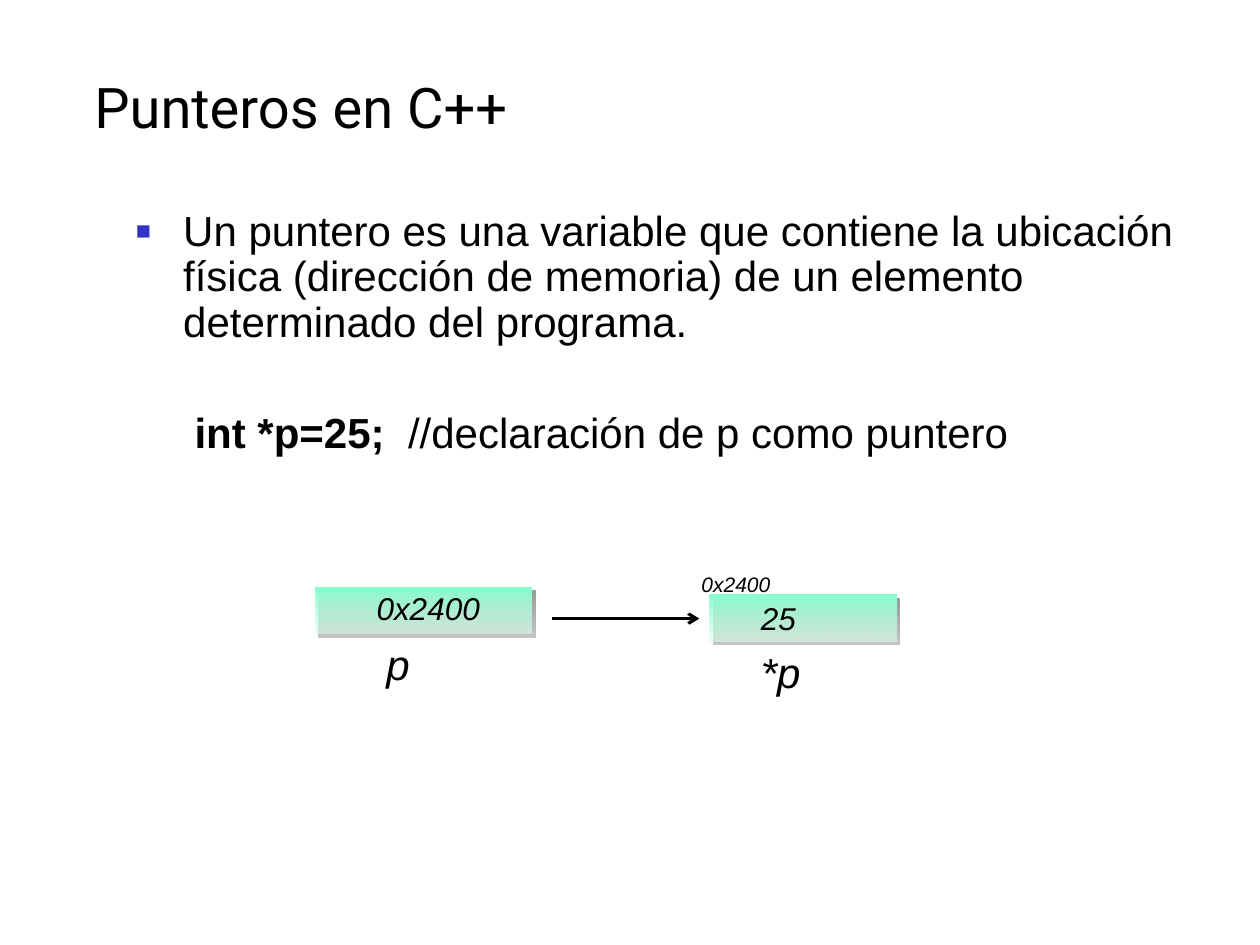
from lxml import etree
from pptx import Presentation
from pptx.dml.color import RGBColor
from pptx.enum.shapes import MSO_CONNECTOR, MSO_SHAPE
from pptx.enum.text import MSO_ANCHOR, MSO_AUTO_SIZE
from pptx.oxml.ns import qn
from pptx.util import Pt

RECTANGLE = MSO_SHAPE.RECTANGLE
STRAIGHT = MSO_CONNECTOR.STRAIGHT
TOP, BOTTOM = MSO_ANCHOR.TOP, MSO_ANCHOR.BOTTOM
FIT_TEXT, FIXED = MSO_AUTO_SIZE.SHAPE_TO_FIT_TEXT, MSO_AUTO_SIZE.NONE


def color(value):
    return RGBColor.from_string(value)


def child(parent, tag, **attributes):
    return etree.SubElement(parent, qn(tag), {k: str(v) for k, v in attributes.items()})


def write(paragraph, text, size=24, font="Arial", ink="000000", bold=False, italic=False):
    run = paragraph.add_run()
    run.text = text
    run.font.size = Pt(size)
    run.font.name = font
    run.font.bold = bold
    run.font.italic = italic
    run.font.color.rgb = color(ink)


class PointerSlide:
    ink = "000000"
    paper = "FFFFFF"
    bullet_ink = "3333CC"
    cell_top = "86FFCF"
    cell_bottom = "DCFFEF"
    line_spacing = 0.9

    def __init__(self, deck):
        self.slide = deck.slides.add_slide(deck.slide_layouts[6])

    def text_box(self, left, top, width, height, anchor=TOP, fit=FIXED):
        box = self.slide.shapes.add_textbox(Pt(left), Pt(top), Pt(width), Pt(height))
        box.text_frame.word_wrap = True
        box.text_frame.vertical_anchor = anchor
        box.text_frame.auto_size = fit
        return box

    def title(self, text, left, top, width, height):
        box = self.text_box(left, top, width, height, anchor=BOTTOM)
        write(box.text_frame.paragraphs[0], text, size=32, font="Roboto")

    def body(self, definition, code, comment, left, top, width, height):
        box = self.text_box(left, top, width, height)
        box.fill.solid()
        box.fill.fore_color.rgb = color(self.paper)
        explanation = box.text_frame.paragraphs[0]
        explanation.line_spacing = self.line_spacing
        explanation.space_before = Pt(6)
        write(explanation, definition)
        self.bullet(explanation, indent=27)
        declaration = box.text_frame.add_paragraph()
        declaration.line_spacing = self.line_spacing
        declaration.space_before = Pt(37.5)
        declaration._p.get_or_add_pPr().set("marL", str(Pt(33.5)))
        write(declaration, code, bold=True)
        write(declaration, comment)

    def bullet(self, paragraph, indent):
        properties = paragraph._p.get_or_add_pPr()
        properties.set("marL", str(Pt(indent)))
        properties.set("indent", str(-Pt(indent)))
        child(child(properties, "a:buClr"), "a:srgbClr", val=self.bullet_ink)
        child(properties, "a:buSzPct", val=60000)
        child(properties, "a:buFont", typeface="Arial")
        child(properties, "a:buChar", char="■")

    def memory_cell(self, left, top, width, height):
        cell = self.slide.shapes.add_shape(RECTANGLE, Pt(left), Pt(top), Pt(width), Pt(height))
        cell.line.fill.background()
        cell.fill.gradient()
        cell.fill.gradient_angle = 270
        stops = cell.fill.gradient_stops
        for stop, position, shade in zip(stops, (0, 1), (self.cell_top, self.cell_bottom)):
            stop.position = position
            stop.color.rgb = color(shade)
        properties = cell._element.spPr
        bottom_color = properties.findall(".//" + qn("a:gs"))[-1].find(qn("a:srgbClr"))
        child(bottom_color, "a:alpha", val=56000)
        cell.shadow.inherit = False
        effects = properties.find(qn("a:effectLst"))
        shadow = child(effects, "a:outerShdw", blurRad=0, dist=Pt(3), dir=45 * 60000,
                       algn="ctr", rotWithShape=0)
        child(child(shadow, "a:srgbClr", val=self.ink), "a:alpha", val=40000)

    def label(self, text, left, top, width, height, size):
        box = self.text_box(left, top, width, height, fit=FIT_TEXT)
        caption = box.text_frame.paragraphs[0]
        caption.line_spacing = self.line_spacing
        caption.space_before = Pt(size / 4)
        write(caption, text, size=size, italic=True)

    def arrow(self, start, end, y):
        pointer = self.slide.shapes.add_connector(STRAIGHT, Pt(start), Pt(y), Pt(end), Pt(y))
        pointer.line.color.rgb = color(self.ink)
        pointer.line.width = Pt(1.75)
        child(pointer.line._get_or_add_ln(), "a:tailEnd", type="arrow")
        child(pointer._element.spPr, "a:effectLst")


def main():
    deck = Presentation()
    deck.slide_width, deck.slide_height = Pt(720), Pt(540)
    page = PointerSlide(deck)
    page.title("Punteros en C++", 46.8, 38.2, 613.4, 45.4)
    page.body(
        "Un puntero es una variable que contiene la ubicación física "
        "(dirección de memoria) de un elemento determinado del programa.",
        "int *p=25;  ", "//declaración de p como puntero",
        70.6, 116.6, 612, 357.8)
    page.memory_cell(180, 335.5, 123.8, 26.6)
    page.memory_cell(405.4, 339.8, 106.6, 26.6)
    page.label("0x2400", 208.1, 335.5, 84.2, 26.6, size=18)
    page.label("0x2400", 393.8, 324.7, 84.2, 20.2, size=12)
    page.label("25", 427.7, 341.3, 61.9, 26.6, size=18)
    page.label("p", 213.8, 364.3, 61.9, 33.1, size=24)
    page.arrow(315.4, 399.6, 353.5)
    page.label("*p", 427.7, 369.4, 61.9, 33.1, size=24)
    deck.save("out.pptx")


if __name__ == "__main__":
    main()
